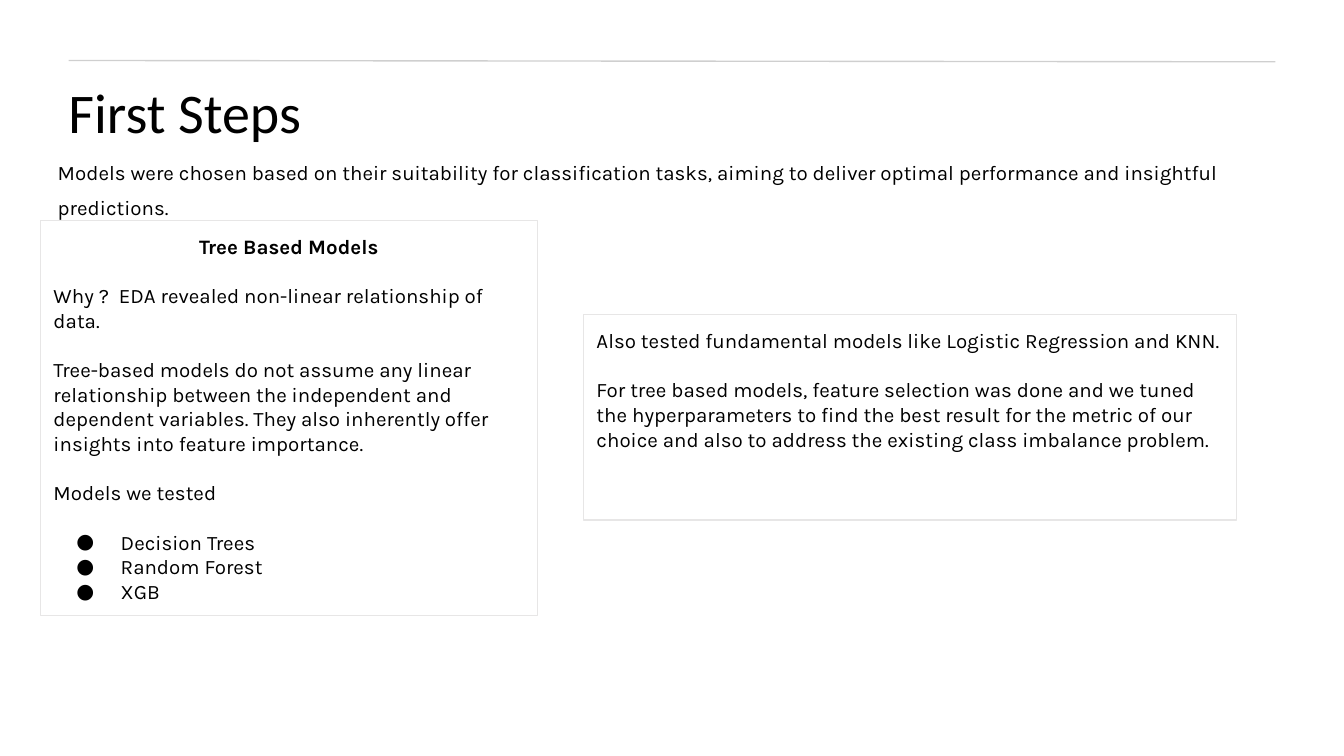
from lxml.etree import SubElement
from pptx import Presentation
from pptx.dml.color import RGBColor
from pptx.enum.shapes import MSO_CONNECTOR, MSO_SHAPE
from pptx.enum.text import MSO_ANCHOR, PP_ALIGN
from pptx.oxml.ns import qn
from pptx.util import Inches, Pt

COLORS = {"text": "000000", "rule": "111111", "edge": "E7E6E6"}
TITLE = {"name": "Calibri", "size": Pt(30)}
BODY = {"name": "Karla", "size": Pt(11)}
BOLD = {**BODY, "bold": True}
GAP = {"space_before": Pt(13.2)}  # one open line between blocks

INTRO = ("Models were chosen based on their suitability for classification tasks, "
         "aiming to deliver optimal performance and insightful predictions.")
WHY = [
    "Why ?  EDA revealed non-linear relationship of data.",
    "Tree-based models do not assume any linear relationship between the "
    "independent and dependent variables. They also inherently offer insights "
    "into feature importance.",
    "Models we tested",
]
MODELS = ["Decision Trees", "Random Forest", "XGB"]
ALSO = "Also tested fundamental models like Logistic Regression and KNN."
TUNING = ("For tree based models, feature selection was done and we tuned the "
          "hyperparameters to find the best result for the metric of our choice "
          "and also to address the existing class imbalance problem.")


def color(name):
    return RGBColor.from_string(COLORS[name])


def apply(target, values):
    for key, value in values.items():
        setattr(target, key, value)


def add_bullet(para):
    props = para._p.get_or_add_pPr()
    props.set("marL", str(Inches(0.5)))
    props.set("indent", str(Inches(-0.33)))
    tint = SubElement(props, qn("a:buClr"))
    SubElement(tint, qn("a:srgbClr"), val=COLORS["text"])
    SubElement(props, qn("a:buSzPts"), val="1100")
    SubElement(props, qn("a:buFont"), typeface=BODY["name"])
    SubElement(props, qn("a:buChar"), char="●")


def fill_text(shape, items, inset):
    """Write items of (text, font values, paragraph values, bullet)."""
    frame = shape.text_frame
    apply(frame, {"word_wrap": True, "vertical_anchor": MSO_ANCHOR.TOP})
    for side in ("left", "top", "right", "bottom"):
        setattr(frame, f"margin_{side}", Inches(inset))
    for i, (text, font, layout, bullet) in enumerate(items):
        para = frame.add_paragraph() if i else frame.paragraphs[0]
        if bullet:
            add_bullet(para)
        apply(para, {"alignment": PP_ALIGN.LEFT, **layout})
        run = para.add_run()
        run.text = text
        apply(run.font, font)
        run.font.color.rgb = color("text")


def add_label(slide, box, text, font, spacing):
    shape = slide.shapes.add_textbox(*map(Inches, box))
    fill_text(shape, [(text, font, {"line_spacing": spacing}, False)], 0)


def add_panel(slide, box, items):
    shape = slide.shapes.add_shape(MSO_SHAPE.RECTANGLE, *map(Inches, box))
    shape.shadow.inherit = False
    shape.fill.background()
    shape.line.color.rgb = color("edge")
    shape.line.width = Pt(0.75)
    fill_text(shape, items, 0.1)


def add_rule(slide, ends):
    rule = slide.shapes.add_connector(MSO_CONNECTOR.STRAIGHT, *map(Inches, ends))
    rule.line.color.rgb = color("rule")
    rule.line.width = Pt(0.75)
    props = rule._element.spPr
    tint = props.find(".//" + qn("a:srgbClr"))
    SubElement(tint, qn("a:alpha"), val="20000")
    SubElement(props, qn("a:effectLst"))


def main():
    # Widescreen page, 16 to 9
    deck = Presentation()
    wide = Inches(10)
    apply(deck, {"slide_width": wide, "slide_height": wide * 9 // 16})
    slide = deck.slides.add_slide(deck.slide_layouts[6])

    # Heading
    add_label(slide, (0.51, 0.53, 6, 0.46), "First Steps", TITLE, 1.1)
    add_rule(slide, (0.51, 0.45, 9.49, 0.46))
    add_label(slide, (0.43, 1.12, 9.4, 0.46), INTRO, BODY, 1.4)

    # Tree based models
    trees = [("Tree Based Models", BOLD, {"alignment": PP_ALIGN.CENTER}, False)]
    trees += [(text, BODY, GAP, False) for text in WHY]
    trees += [(text, BODY, {} if i else GAP, True) for i, text in enumerate(MODELS)]
    add_panel(slide, (0.3, 1.64, 3.7, 2.94), trees)

    # Other models and tuning
    add_panel(slide, (4.34, 2.34, 4.86, 1.53),
              [(ALSO, BODY, {}, False), (TUNING, BODY, GAP, False)])

    deck.save("out.pptx")


if __name__ == "__main__":
    main()
